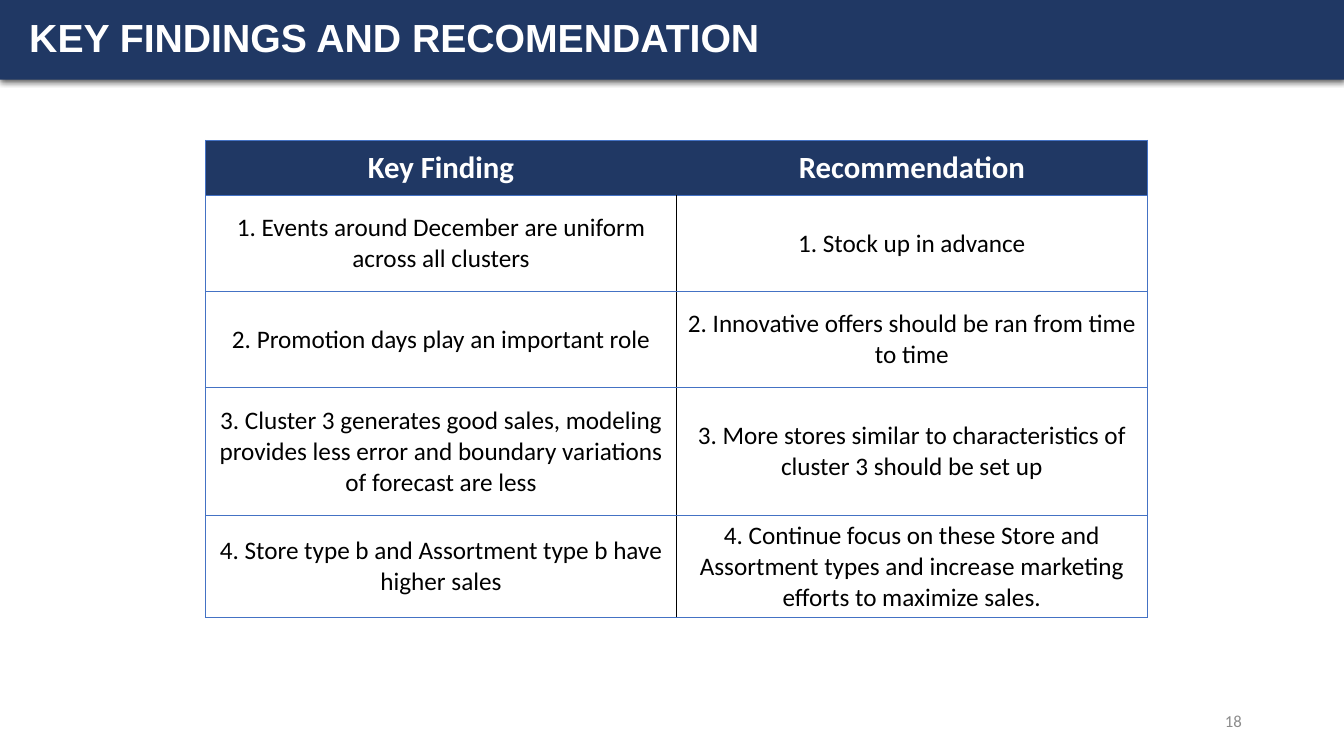
import dataclasses
import typing

import lxml.etree
import pptx
import pptx.dml.color
import pptx.enum.shapes
import pptx.enum.text
import pptx.oxml
import pptx.oxml.ns
import pptx.util

Pt = pptx.util.Pt
ALIGN = pptx.enum.text.PP_ALIGN
MIDDLE = pptx.enum.text.MSO_ANCHOR.MIDDLE

NAVY, WHITE, BLACK, BLUE, GREY = "203864", "FFFFFF", "000000", "4472C4", "8C8C8C"
SLIDE_WIDTH, SLIDE_HEIGHT = 960, 540
BAND_HEIGHT = 56.9
TABLE_LEFT, TABLE_TOP, COLUMN_WIDTH = 146.9, 100.1, 336.3


@dataclasses.dataclass(frozen=True)
class Style:
    size: float
    colour: str
    bold: bool = False
    align: typing.Any = ALIGN.CENTER
    font: str = "Calibri"


@dataclasses.dataclass(frozen=True)
class Row:
    height: float
    finding: str
    recommendation: str


@dataclasses.dataclass(frozen=True)
class Border:
    colour: str
    width: float


TITLE = Style(28, WHITE, True, ALIGN.LEFT, "Arial")
PAGE_NUMBER = Style(12, GREY, align=ALIGN.RIGHT)
HEADER = Style(22, WHITE, True)
BODY = Style(18, BLACK)

THIN = Border(BLUE, 0.5)
DIVIDER = Border(BLACK, 1)

ROWS = [
    Row(39.6, "Key Finding", "Recommendation"),
    Row(68.6, "1. Events around December are uniform across all clusters",
        "1. Stock up in advance"),
    Row(68.6, "2. Promotion days play an important role",
        "2. Innovative offers should be ran from time to time"),
    Row(91.4, "3. Cluster 3 generates good sales, modeling provides less error "
        "and boundary variations of forecast are less",
        "3. More stores similar to characteristics of cluster 3 should be set up"),
    Row(72.6, "4. Store type b and Assortment type b have higher sales",
        "4. Continue focus on these Store and Assortment types and increase "
        "marketing efforts to maximize sales."),
]


def colour(value: str) -> pptx.dml.color.RGBColor:
    return pptx.dml.color.RGBColor.from_string(value)


def write(frame: typing.Any, text: str, style: Style) -> None:
    frame.text = text
    frame.word_wrap = True
    for para in frame.paragraphs:
        para.alignment = style.align
        for span in para.runs:
            span.font.size = Pt(style.size)
            span.font.name = style.font
            span.font.bold = style.bold
            span.font.color.rgb = colour(style.colour)


def add_title(page: typing.Any, text: str) -> None:
    title = page.shapes.title
    title.left, title.top = Pt(13.7), Pt(0)
    title.width, title.height = Pt(814.3), Pt(BAND_HEIGHT)
    write(title.text_frame, text, TITLE)
    title.text_frame.vertical_anchor = MIDDLE
    title.text_frame.auto_size = pptx.enum.text.MSO_AUTO_SIZE.NONE
    title.text_frame.paragraphs[0].line_spacing = 0.9


def add_band(page: typing.Any) -> None:
    """Draw the shadowed strip behind the title."""
    band = page.shapes.add_shape(
        pptx.enum.shapes.MSO_SHAPE.RECTANGLE, Pt(0), Pt(0), Pt(SLIDE_WIDTH), Pt(BAND_HEIGHT))
    band.fill.solid()
    band.fill.fore_color.rgb = colour(NAVY)
    band.line.fill.background()
    band.shadow.inherit = False
    effects = band.element.spPr.find(pptx.oxml.ns.qn("a:effectLst"))
    effects.append(pptx.oxml.parse_xml(
        f'<a:outerShdw {pptx.oxml.ns.nsdecls("a")} blurRad="{Pt(4.5)}" dist="{Pt(1.5)}" '
        f'dir="5400000" algn="t" rotWithShape="0"><a:srgbClr val="{BLACK}">'
        '<a:alpha val="63000"/></a:srgbClr></a:outerShdw>'))
    page.shapes.title.element.addprevious(band.element)


def add_page_number(page: typing.Any, text: str) -> None:
    box = page.shapes.add_textbox(Pt(678.2), Pt(500.4), Pt(216), Pt(28.8))
    write(box.text_frame, text, PAGE_NUMBER)
    box.text_frame.vertical_anchor = MIDDLE


def set_borders(cell: typing.Any, borders: dict[str, Border | None]) -> None:
    """Set the lines of a cell; None hides a line."""
    properties = cell._tc.get_or_add_tcPr()
    for index, side in enumerate("LRTB"):
        border = borders[side]
        line = lxml.etree.Element(pptx.oxml.ns.qn(f"a:ln{side}"))
        if border is None:
            lxml.etree.SubElement(line, pptx.oxml.ns.qn("a:noFill"))
        else:
            line.set("w", str(Pt(border.width)))
            fill = lxml.etree.SubElement(line, pptx.oxml.ns.qn("a:solidFill"))
            lxml.etree.SubElement(fill, pptx.oxml.ns.qn("a:srgbClr"), val=border.colour)
        properties.insert(index, line)


def add_findings_table(page: typing.Any, rows: list[Row]) -> None:
    height = sum(row.height for row in rows)
    table = page.shapes.add_table(
        len(rows), 2, Pt(TABLE_LEFT), Pt(TABLE_TOP), Pt(2 * COLUMN_WIDTH), Pt(height)).table
    table.horz_banding = False
    for row_index, row in enumerate(rows):
        table.rows[row_index].height = Pt(row.height)
        is_header = row_index == 0
        inner = None if is_header else DIVIDER
        for column_index, text in enumerate((row.finding, row.recommendation)):
            cell = table.cell(row_index, column_index)
            write(cell.text_frame, text, HEADER if is_header else BODY)
            cell.vertical_anchor = MIDDLE
            left, right = (THIN, inner) if column_index == 0 else (inner, THIN)
            set_borders(cell, {"L": left, "R": right, "T": THIN, "B": THIN})
            if is_header:
                cell.fill.solid()
                cell.fill.fore_color.rgb = colour(NAVY)
            else:
                cell.fill.background()


def main() -> None:
    deck = pptx.Presentation()
    deck.slide_width, deck.slide_height = Pt(SLIDE_WIDTH), Pt(SLIDE_HEIGHT)
    page = deck.slides.add_slide(deck.slide_layouts.get_by_name("Title Only"))
    add_title(page, "KEY FINDINGS AND RECOMENDATION")
    add_band(page)
    add_page_number(page, "18")
    add_findings_table(page, ROWS)
    deck.save("out.pptx")


if __name__ == "__main__":
    main()
